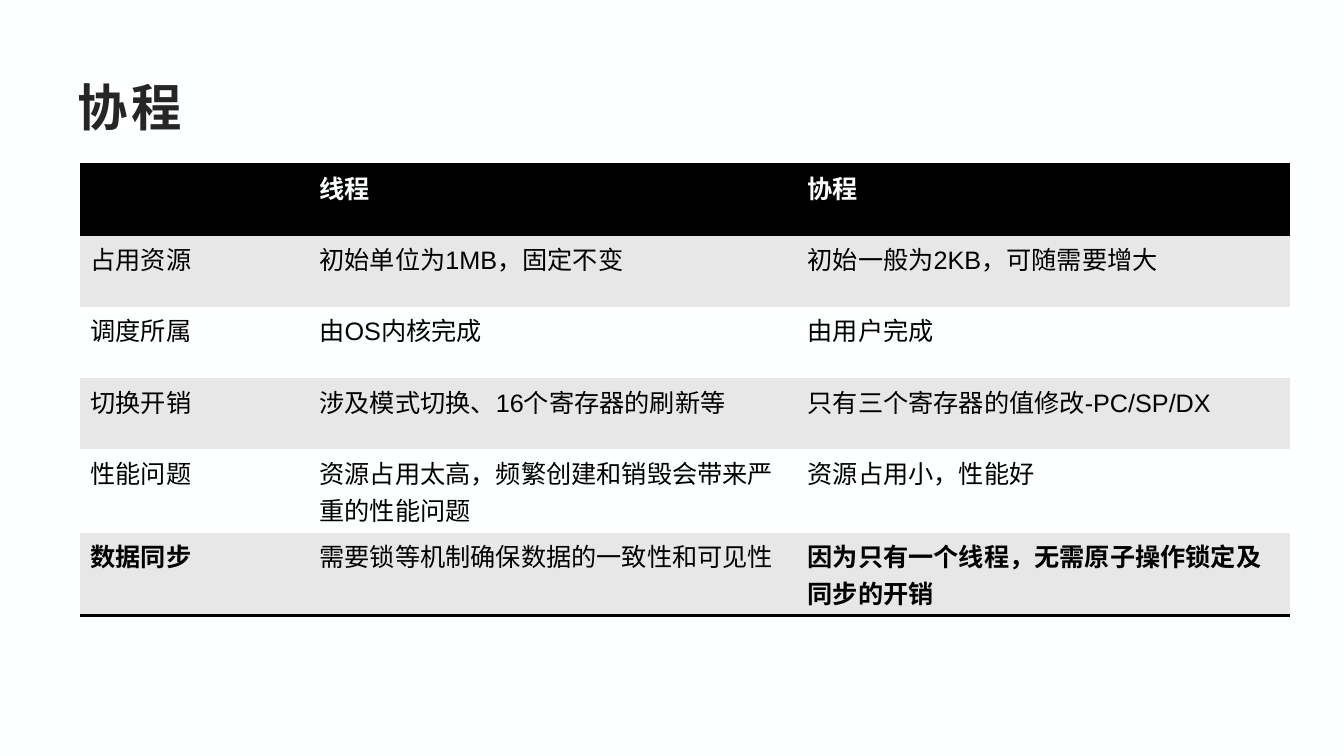
from dataclasses import dataclass

from lxml import etree
from pptx import Presentation
from pptx.dml.color import RGBColor
from pptx.enum.text import MSO_ANCHOR
from pptx.oxml.ns import qn
from pptx.util import Pt

MIDDLE = MSO_ANCHOR.MIDDLE
PLAIN_TABLE_STYLE = "{2D5ABB26-0587-4C30-8999-92F81FD0307C}"


@dataclass(frozen=True)
class Theme:
    font: str = "Arial"
    paper: str = "FEFFFF"
    ink: str = "000000"
    title_ink: str = "262626"
    band: str = "E7E7E7"
    title_size: int = 36
    body_size: int = 18
    title_spacing: int = 3
    rule_width: int = 2


class SlideBuilder:
    def __init__(self, slide, theme):
        self.slide = slide
        self.theme = theme
        fill = slide.background.fill
        fill.solid()
        fill.fore_color.rgb = RGBColor.from_string(theme.paper)

    def add_run(self, paragraph, text, size, color, bold):
        run = paragraph.add_run()
        run.text = text
        run.font.name = self.theme.font
        run.font.size = Pt(size)
        run.font.bold = bold
        run.font.color.rgb = RGBColor.from_string(color)
        return run

    def add_title(self, text, left, top, width, height):
        shape = self.slide.shapes.add_textbox(Pt(left), Pt(top), Pt(width), Pt(height))
        frame = shape.text_frame
        frame.word_wrap = True
        frame.vertical_anchor = MIDDLE
        theme = self.theme
        run = self.add_run(
            frame.paragraphs[0], text, theme.title_size, theme.title_ink, True
        )
        run.font._element.set("spc", str(theme.title_spacing * 100))

    def add_border(self, cell, position, side):
        line = etree.Element(qn(f"a:ln{side}"), w=str(Pt(self.theme.rule_width)))
        fill = etree.SubElement(line, qn("a:solidFill"))
        etree.SubElement(fill, qn("a:srgbClr"), val=self.theme.ink)
        cell._tc.get_or_add_tcPr().insert(position, line)

    def add_cell(self, cell, text, fill, color, bold, borders):
        cell.fill.solid()
        cell.fill.fore_color.rgb = RGBColor.from_string(fill)
        if text:
            paragraph = cell.text_frame.paragraphs[0]
            self.add_run(paragraph, text, self.theme.body_size, color, bold)
        for position, side in enumerate(borders):
            self.add_border(cell, position, side)

    def add_table(self, rows, bold_cells, left, top, column_widths, row_heights):
        theme = self.theme
        table = self.slide.shapes.add_table(
            len(rows), len(column_widths), Pt(left), Pt(top),
            Pt(sum(column_widths)), Pt(sum(row_heights)),
        ).table
        table._tbl.tblPr.find(qn("a:tableStyleId")).text = PLAIN_TABLE_STYLE
        table.horz_banding = False
        for column, width in zip(table.columns, column_widths):
            column.width = Pt(width)
        last_row = len(rows) - 1
        for row_index, texts in enumerate(rows):
            table.rows[row_index].height = Pt(row_heights[row_index])
            header = row_index == 0
            if header:
                fill, color, borders = theme.ink, theme.paper, "TB"
            else:
                fill = theme.band if row_index % 2 else theme.paper
                color = theme.ink
                borders = "B" if row_index == last_row else ""
            for column_index, text in enumerate(texts):
                bold = header or (row_index, column_index) in bold_cells
                cell = table.cell(row_index, column_index)
                self.add_cell(cell, text, fill, color, bold, borders)


COMPARISON = [
    ("", "线程", "协程"),
    ("占用资源", "初始单位为1MB，固定不变", "初始一般为2KB，可随需要增大"),
    ("调度所属", "由OS内核完成", "由用户完成"),
    ("切换开销", "涉及模式切换、16个寄存器的刷新等", "只有三个寄存器的值修改-PC/SP/DX"),
    ("性能问题", "资源占用太高，频繁创建和销毁会带来严重的性能问题", "资源占用小，性能好"),
    (
        "数据同步",
        "需要锁等机制确保数据的一致性和可见性",
        "因为只有一个线程，无需原子操作锁定及同步的开销",
    ),
]
EMPHASIZED_CELLS = {(5, 0), (5, 2)}
COLUMN_WIDTHS = [163.6, 348.7, 351.7]
ROW_HEIGHTS = [51] * 4 + [59.4] * 2


def main():
    presentation = Presentation()
    presentation.slide_width = Pt(960)
    presentation.slide_height = Pt(540)
    slide = presentation.slides.add_slide(presentation.slide_layouts[6])
    builder = SlideBuilder(slide, Theme())
    builder.add_title("协程", 48, 48, 864, 55.5)
    builder.add_table(
        COMPARISON, EMPHASIZED_CELLS, 57.4, 117, COLUMN_WIDTHS, ROW_HEIGHTS
    )
    presentation.save("out.pptx")


if __name__ == "__main__":
    main()
